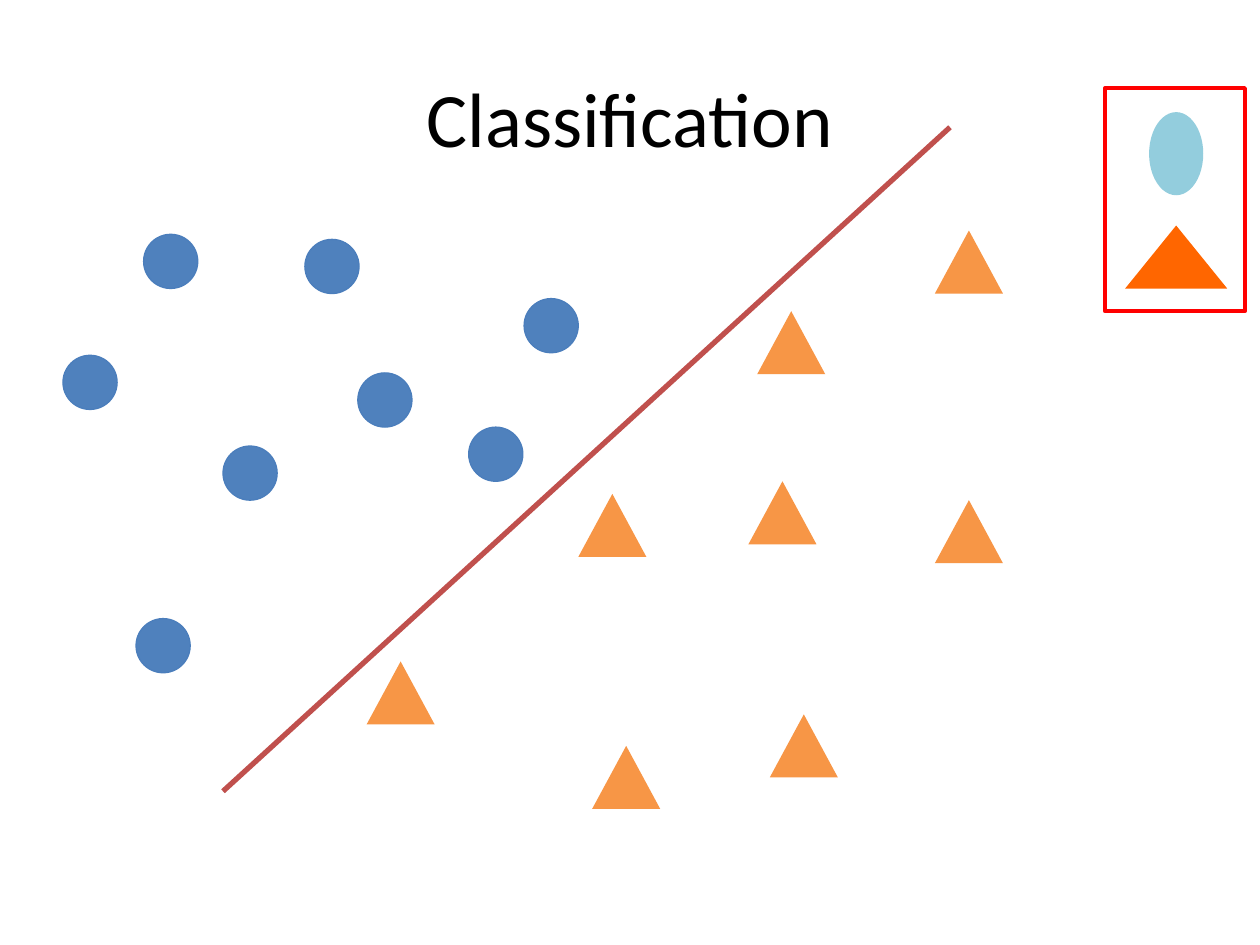
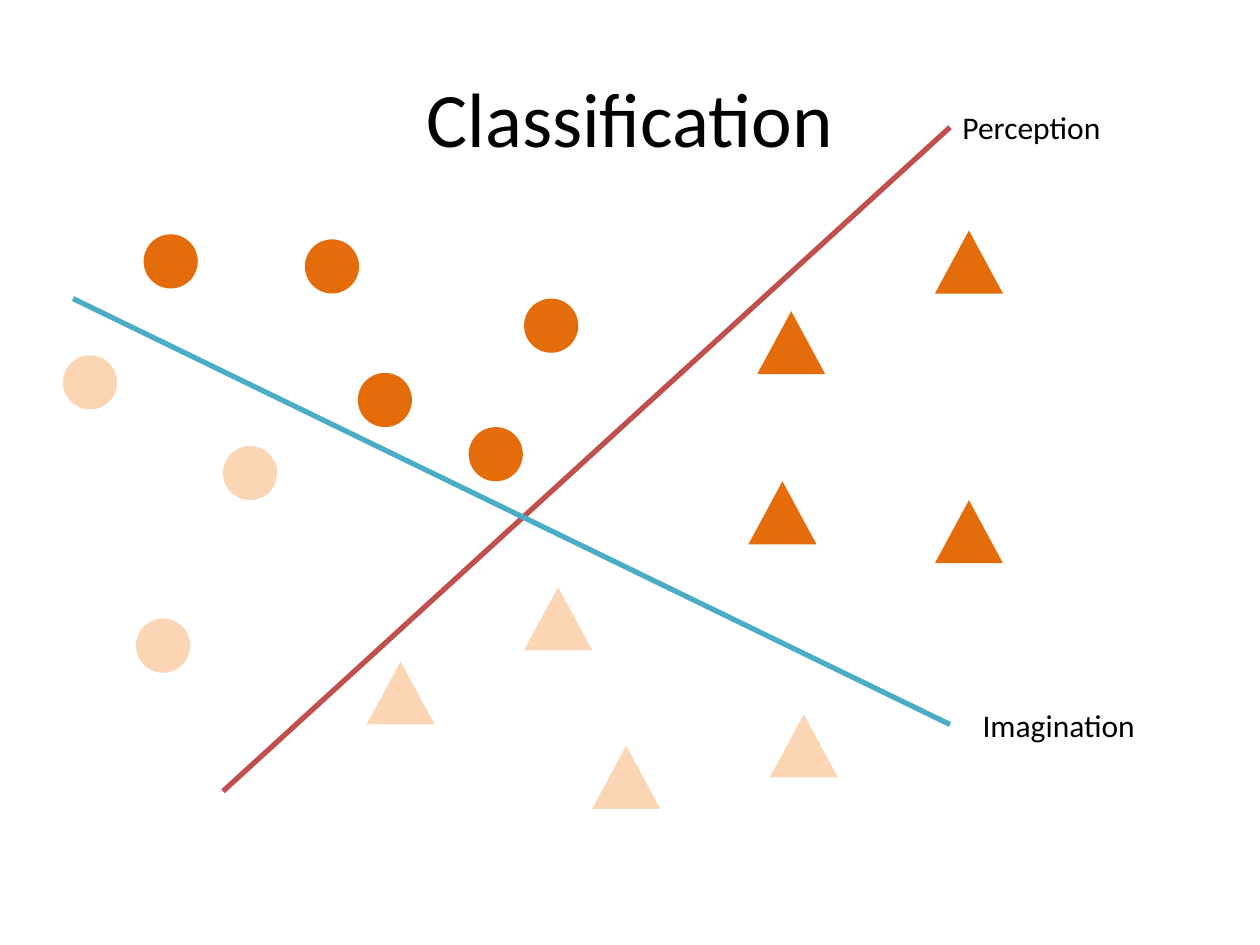
from pptx import Presentation
from pptx.dml.color import RGBColor
from pptx.enum.shapes import MSO_CONNECTOR, MSO_SHAPE
from pptx.enum.text import MSO_ANCHOR, PP_ALIGN
from pptx.oxml.ns import qn
from pptx.util import Inches, Pt
from lxml.etree import SubElement

COLUMNS, ROWS = 10, 7.5

CIRCLE_SIZE = (0.43, 0.43)
TRIANGLE_SIZE = (0.54, 0.5)
CIRCLES = [(1.14, 1.86), (2.84, 2.96), (0.5, 2.82), (2.42, 1.9),
           (1.77, 3.54), (1.08, 4.91), (3.72, 3.39), (4.16, 2.37)]
SHARED_TRIANGLES = [(7.42, 1.83), (7.42, 3.97), (6.11, 5.67), (6.01, 2.47),
                    (2.91, 5.25), (4.7, 5.92), (5.94, 3.82)]
PERCEPTION_LINE = ((7.54, 1.01), (1.77, 6.28))
IMAGINATION_LINE = ((7.54, 5.75), (0.58, 2.37))


def color(hex_string):
    return RGBColor.from_string(hex_string)


class Deck:
    """Style of the presentation and the slide being drawn, on a 10 by 7.5 grid."""

    font = "Calibri"
    text_color = "000000"
    blue, blue_edge, orange = "4F81BD", "4B7EBC", "F79646"
    strong, pale = "E46C0A", "FCD5B5"
    perception, imagination = "C0504D", "4BACC6"
    key_circle, key_triangle, key_frame = "93CDDD", "FF6600", "FF0000"

    def __init__(self):
        self.presentation = Presentation()
        self.presentation.slide_width = Inches(10)
        self.presentation.slide_height = Inches(7.5)
        self.slide = None

    def x(self, columns):
        return round(self.presentation.slide_width * columns / COLUMNS)

    def y(self, rows):
        return round(self.presentation.slide_height * rows / ROWS)

    def box(self, position, size):
        return (self.x(position[0]), self.y(position[1]),
                self.x(size[0]), self.y(size[1]))

    def new_slide(self, title):
        self.slide = self.presentation.slides.add_slide(
            self.presentation.slide_layouts[6])
        self.text(title, (0.5, 0.3), (9, 1.25), 44, PP_ALIGN.CENTER, wrap=True)

    def text(self, words, position, size, points=18, align=PP_ALIGN.LEFT, wrap=False):
        frame = self.slide.shapes.add_textbox(*self.box(position, size)).text_frame
        frame.word_wrap = wrap
        frame.vertical_anchor = MSO_ANCHOR.MIDDLE
        paragraph = frame.paragraphs[0]
        paragraph.alignment = align
        run = paragraph.add_run()
        run.text = words
        run.font.name = self.font
        run.font.size = Pt(points)
        run.font.color.rgb = color(self.text_color)

    def shape(self, kind, position, size, fill=None, edge=None, edge_width=0.75):
        shape = self.slide.shapes.add_shape(kind, *self.box(position, size))
        shape.shadow.inherit = False
        if fill:
            shape.fill.solid()
            shape.fill.fore_color.rgb = color(fill)
        else:
            shape.fill.background()
        if edge:
            shape.line.color.rgb = color(edge)
            shape.line.width = Pt(edge_width)
        else:
            shape.line.fill.background()

    def circle(self, position, fill, size=CIRCLE_SIZE, edge=None):
        self.shape(MSO_SHAPE.OVAL, position, size, fill, edge)

    def triangle(self, position, fill, size=TRIANGLE_SIZE):
        self.shape(MSO_SHAPE.ISOSCELES_TRIANGLE, position, size, fill)

    def boundary(self, ends, line_color):
        (start_x, start_y), (end_x, end_y) = ends
        line = self.slide.shapes.add_connector(
            MSO_CONNECTOR.STRAIGHT, self.x(start_x), self.y(start_y),
            self.x(end_x), self.y(end_y))
        line.line.color.rgb = color(line_color)
        line.line.width = Pt(3)
        SubElement(line._element.spPr, qn("a:effectLst"))


def is_above(ends, position, size):
    """Tell whether the centre of a mark lies above a boundary line."""
    (right, right_y), (left, left_y) = ends
    center_x, center_y = (p + s / 2 for p, s in zip(position, size))
    slope = (right_y - left_y) / (right - left)
    return center_y < left_y + slope * (center_x - left)


def two_classes(deck):
    deck.new_slide("Classification")
    for position in CIRCLES:
        deck.circle(position, deck.blue, edge=deck.blue_edge)
    for position in SHARED_TRIANGLES + [(4.59, 3.92)]:
        deck.triangle(position, deck.orange)
    deck.boundary(PERCEPTION_LINE, deck.perception)
    deck.circle((9.12, 0.89), deck.key_circle, size=(0.43, 0.66))
    deck.triangle((8.93, 1.79), deck.key_triangle, size=(0.81, 0.5))
    deck.shape(MSO_SHAPE.RECTANGLE, (8.77, 0.7), (1.11, 1.77),
               edge=deck.key_frame, edge_width=2.5)


def two_boundaries(deck):
    deck.new_slide("Classification")
    marks = [(deck.circle, CIRCLES, CIRCLE_SIZE),
             (deck.triangle, SHARED_TRIANGLES + [(4.16, 4.66)], TRIANGLE_SIZE)]
    for draw, positions, size in marks:
        for position in positions:
            above = is_above(IMAGINATION_LINE, position, size)
            draw(position, deck.strong if above else deck.pale)
    deck.boundary(PERCEPTION_LINE, deck.perception)
    deck.text("Perception", (7.54, 0.81), (1.32, 0.4))
    deck.boundary(IMAGINATION_LINE, deck.imagination)
    deck.text("Imagination", (7.7, 5.55), (1.42, 0.4))


def main():
    deck = Deck()
    two_classes(deck)
    two_boundaries(deck)
    deck.presentation.save("out.pptx")


if __name__ == "__main__":
    main()
